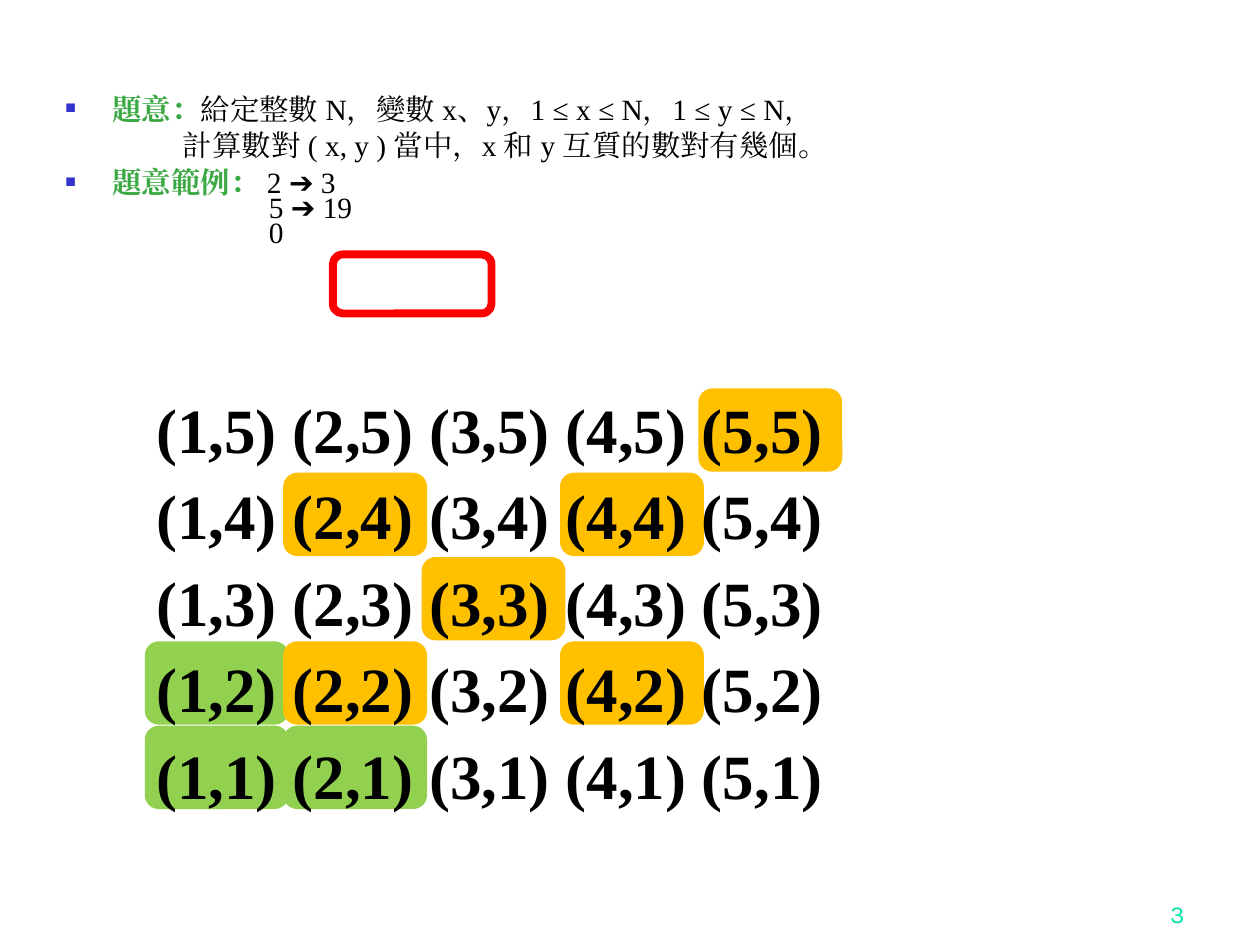
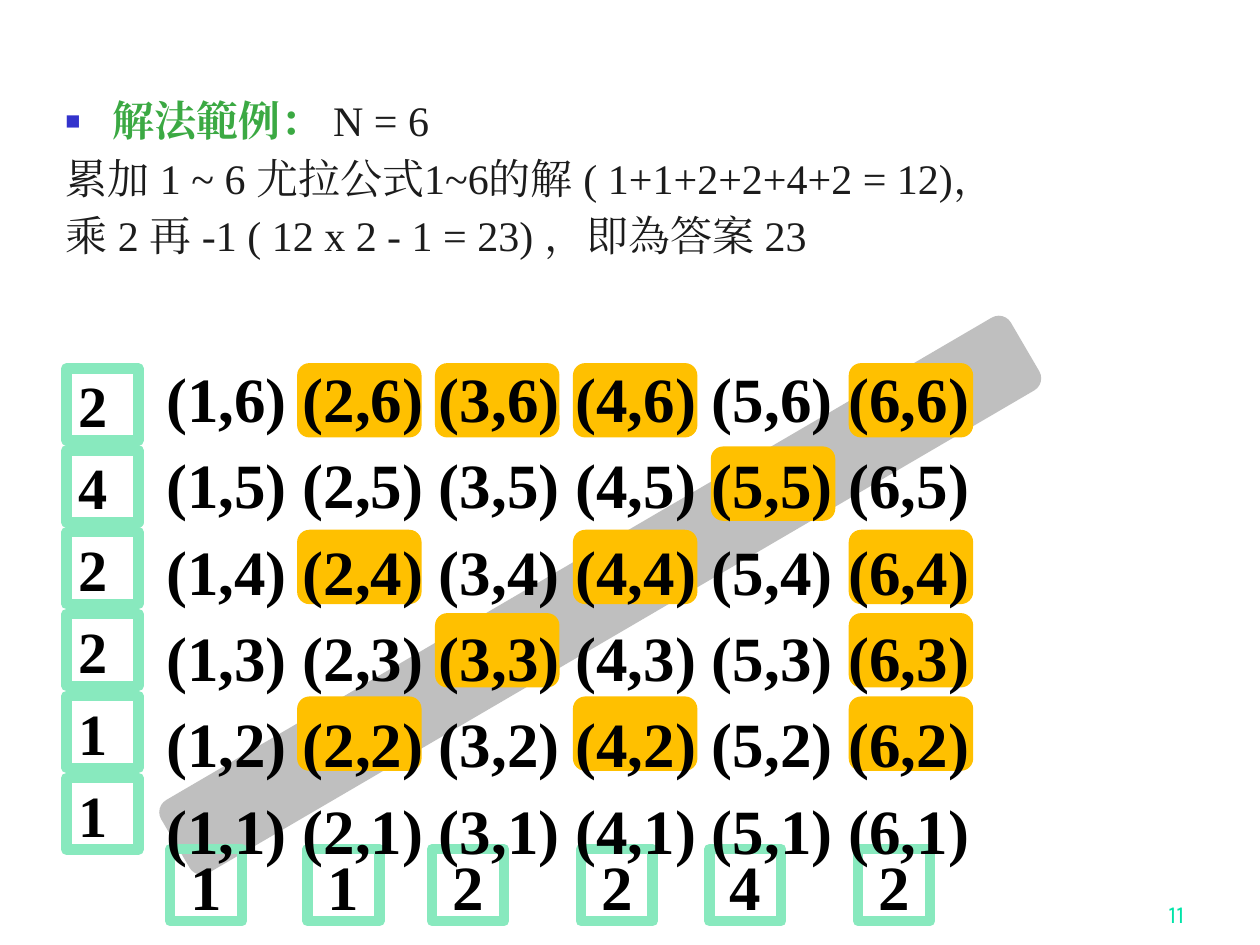
from math import gcd

from lxml.etree import SubElement
from pptx import Presentation
from pptx.dml.color import RGBColor
from pptx.enum.shapes import MSO_SHAPE as SHAPE
from pptx.enum.text import MSO_ANCHOR as ANCHOR, PP_ALIGN as ALIGN
from pptx.oxml.ns import qn
from pptx.util import Cm, Pt

BLACK = RGBColor(0x00, 0x00, 0x00)
INK = RGBColor(0x1C, 0x1C, 0x1C)
GREEN = RGBColor(0x3B, 0xA9, 0x43)
ORANGE = RGBColor(0xFF, 0xC0, 0x00)
LIME = RGBColor(0x92, 0xD0, 0x50)
GRAY = RGBColor(0xBF, 0xBF, 0xBF)
MINT = RGBColor(0x88, 0xE9, 0xBE)
RED = RGBColor(0xFF, 0x00, 0x00)
TEAL = RGBColor(0x00, 0xE4, 0xA8)
BULLET_BLUE = "3333CC"
SERIF = "Times New Roman"


def add_box(s, kind, box, fill=None, line=None, width=0):
    sp = s.shapes.add_shape(kind, *map(Cm, box))
    sp.shadow.inherit = False
    if fill is None:
        sp.fill.background()
    else:
        sp.fill.solid()
        sp.fill.fore_color.rgb = fill
    if line is None:
        sp.line.fill.background()
    else:
        sp.line.color.rgb = line
        sp.line.width = Pt(width)
    return sp


def add_text(s, box):
    tf = s.shapes.add_textbox(*map(Cm, box)).text_frame
    tf.word_wrap = True
    return tf


def style_run(r, size, color, bold=False, font=SERIF):
    r.font.size = Pt(size)
    r.font.bold = bold
    r.font.color.rgb = color
    r.font.name = font
    SubElement(r.font._element, qn("a:ea"), typeface=font)


def set_indent(p, left, first=0):
    pPr = p._p.get_or_add_pPr()
    pPr.set("marL", str(Cm(left)))
    pPr.set("indent", str(Cm(first)))
    return pPr


def add_bullet(p):
    pPr = set_indent(p, 0.95, -0.95)
    SubElement(SubElement(pPr, qn("a:buClr")), qn("a:srgbClr"), val=BULLET_BLUE)
    SubElement(pPr, qn("a:buSzPct"), val="60000")
    SubElement(pPr, qn("a:buFont"), typeface="Arial")
    SubElement(pPr, qn("a:buChar"), char="■")


def statement(s, box, lines, size, color, spacing):
    tf = add_text(s, box)
    for i, (label, text, left, before) in enumerate(lines):
        p = tf.add_paragraph() if i else tf.paragraphs[0]
        if label:
            add_bullet(p)
            r = p.add_run()
            r.text = label
            style_run(r, size, GREEN, True)
        else:
            set_indent(p, left)
        p.line_spacing = spacing
        p.space_before = Pt(before if i else 0)
        head, arrow, tail = text.partition("➔")
        for part, font in ((head, SERIF), (arrow, "Arial"), (tail, SERIF)):
            if part:
                r = p.add_run()
                r.text = part
                style_run(r, size, color, font=font)


def pair_marks(s, n, origin, pitch, size, solved=0):
    for x in range(1, n + 1):
        for y in range(1, n + 1):
            if gcd(x, y) > 1:
                fill = ORANGE
            elif max(x, y) <= solved:
                fill = LIME
            else:
                continue
            left = origin[0] + (x - 1) * pitch[0]
            top = origin[1] - (y - 1) * pitch[1]
            add_box(s, SHAPE.ROUNDED_RECTANGLE, (left, top, *size), fill)


def pair_grid(s, n, box):
    tf = add_text(s, box)
    for i, y in enumerate(range(n, 0, -1)):
        p = tf.add_paragraph() if i else tf.paragraphs[0]
        p.text = " ".join(f"({x},{y})" for x in range(1, n + 1))
        p.line_spacing = 0.9
        p.space_before = Pt(10.5 if i else 0)
        style_run(p.runs[0], 36, BLACK, True)


def count_box(s, left, top, n, size, align):
    sp = add_box(s, SHAPE.RECTANGLE, (left, top, 1.45, 1.45), line=MINT, width=6)
    tf = sp.text_frame
    tf.word_wrap = False
    tf.vertical_anchor = ANCHOR.MIDDLE
    tf.text = str(sum(gcd(k, n) == 1 for k in range(1, n + 1)))
    p = tf.paragraphs[0]
    p.alignment = align
    style_run(p.runs[0], size, BLACK, True)


def totient_counts(s, left, bottom, row_pitch, column_top, column_lefts):
    for n, column_left in enumerate(column_lefts, 1):
        count_box(s, left, bottom - (n - 1) * row_pitch, n, 33.3, ALIGN.LEFT)
        count_box(s, column_left, column_top, n, 36, ALIGN.CENTER)


def page_number(s, number):
    tf = add_text(s, (18.85, 17.58, 5.28, 1.27))
    tf.vertical_anchor = ANCHOR.BOTTOM
    tf.text = str(number)
    p = tf.paragraphs[0]
    p.alignment = ALIGN.RIGHT
    style_run(p.runs[0], 14, TEAL, font="Karla")


def problem_slide(prs):
    s = prs.slides.add_slide(prs.slide_layouts[6])
    pair_marks(s, 5, (2.92, 14.63), (2.79, 1.7), (2.9, 1.68), solved=2)
    page_number(s, 3)
    statement(s, (1.07, 1.9, 22.43, 3.4), [
        ("題意：", "給定整數 N，變數 x、y，1 ≤ x ≤ N，1 ≤ y ≤ N，", 0, 0),
        ("", "計算數對 ( x, y ) 當中，x 和 y 互質的數對有幾個。", 2.37, 6.9),
        ("題意範例： ", "2 ➔ 3", 0, 6.9),
        ("", "5 ➔ 19", 4.1, 0),
        ("", "0", 4.1, 0),
    ], 16.8, BLACK, 0.7)
    add_box(s, SHAPE.ROUNDED_RECTANGLE, (6.71, 5.13, 3.2, 1.19), line=RED, width=4.5)
    pair_grid(s, 5, (2.9, 7.92, 14.6, 8.81))


def solution_slide(prs):
    s = prs.slides.add_slide(prs.slide_layouts[6])
    diagonal = add_box(s, SHAPE.ROUNDED_RECTANGLE, (11.25, 2.08, 1.7, 19.84), GRAY)
    diagonal.rotation = 59.7
    pair_marks(s, 6, (3.21, 15.72), (2.78, 1.68), (2.51, 1.5))
    totient_counts(s, 1.34, 15.68, 1.65, 17.12, (3.43, 6.2, 8.71, 11.71, 14.3, 17.3))
    pair_grid(s, 6, (3.1, 7.29, 17.2, 10.39))
    page_number(s, 11)
    statement(s, (1.07, 1.9, 23.44, 3.63), [
        ("解法範例： ", "N = 6", 0, 0),
        ("", "累加 1 ~ 6 尤拉公式1~6的解 ( 1+1+2+2+4+2 = 12)，", 0, 6.9),
        ("", "乘 2 再 -1 ( 12 x 2 - 1 = 23) ，即為答案 23", 0, 6.9),
    ], 24, INK, 0.9)


def main():
    prs = Presentation()
    prs.slide_width, prs.slide_height = Cm(25.4), Cm(19.05)
    problem_slide(prs)
    solution_slide(prs)
    prs.save("out.pptx")


if __name__ == "__main__":
    main()
